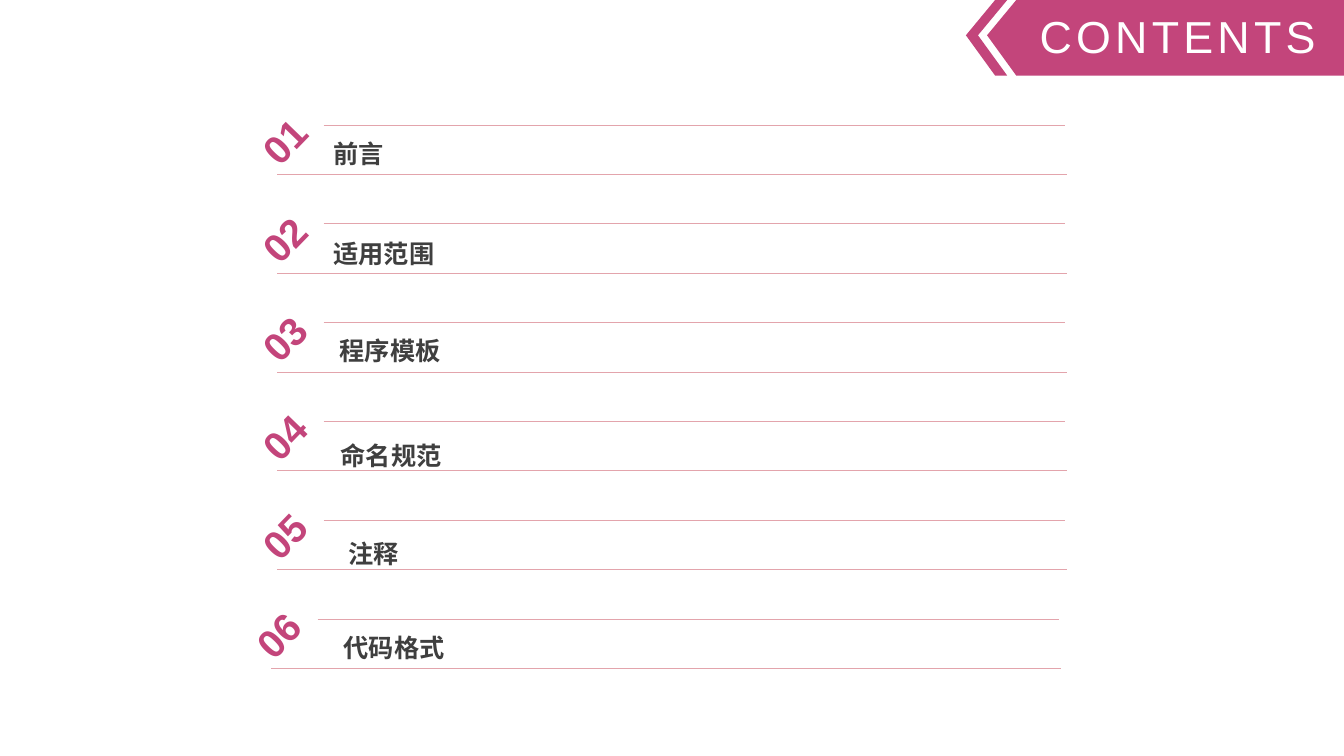
from lxml import etree
from pptx import Presentation, util as u
from pptx.dml.color import RGBColor
from pptx.enum import shapes, text
from pptx.oxml.ns import qn

MAGENTA = RGBColor(0xC3, 0x45, 0x7B)
ROSE = RGBColor(0xE3, 0xA4, 0xAC)
CHARCOAL = RGBColor(0x3F, 0x3F, 0x3F)
WHITE = RGBColor(0xFF, 0xFF, 0xFF)

COLUMNS, ROWS = 13.33, 7.5
FIRST_RULE, PITCH, RULE_GAP = 1.24, 0.98, 0.49
BANNER_HEIGHT, BANNER_TIP = 0.75, 0.35

# heading, left, top, width, height, line spacing, shift of number and rules
ENTRIES = [
    ("前言", 3.21, 1.23, 7.01, 0.49, 1.3, 0),
    ("适用范围", 3.21, 2.23, 7.01, 0.49, 1.3, 0),
    ("程序模板", 3.27, 3.28, 1.22, 0.4, 1, 0),
    ("命名规范", 3.28, 4.23, 1.22, 0.49, 1.3, 0),
    ("注释", 3.36, 5.2, 0.71, 0.49, 1.3, 0),
    ("代码格式", 3.31, 6.22, 1.24, 0.4, 1, -0.06),
]


class ContentsSlide:
    """Draws on a grid whose columns and rows are one inch each."""
    font_name = "Arial"
    cell = u.Inches(1)

    def __init__(self, presentation):
        presentation.slide_width = self.grid(COLUMNS)
        presentation.slide_height = self.grid(ROWS)
        self.slide = presentation.slides.add_slide(presentation.slide_layouts[5])

    def grid(self, cells):
        return u.Emu(round(cells * self.cell))

    def set_text(self, shape, words, size, color, bold, anchor, align, insets, spacing=1):
        frame = shape.text_frame
        frame.text = words
        frame.word_wrap = True
        frame.auto_size = text.MSO_AUTO_SIZE.NONE
        frame.vertical_anchor = anchor
        (frame.margin_left, frame.margin_top,
         frame.margin_right, frame.margin_bottom) = map(self.grid, insets)
        paragraph = frame.paragraphs[0]
        paragraph.alignment = align
        paragraph.line_spacing = spacing
        font = paragraph.font
        font.name, font.size, font.bold = self.font_name, u.Pt(size), bold
        font.color.rgb = color

    def title(self, words, left, top, width, height):
        shape = self.slide.shapes.title
        shape.left, shape.top, shape.width, shape.height = map(
            self.grid, (left, top, width, height))
        self.set_text(shape, words, 32, WHITE, False, text.MSO_ANCHOR.MIDDLE,
                      text.PP_ALIGN.CENTER, (0.24, 0, 0, 0.04))
        run = shape.text_frame.paragraphs[0].runs[0]
        run._r.get_or_add_rPr().set("spc", "300")
        # The title is the first shape; bring it in front of the banner
        self.slide.shapes._spTree.append(shape._element)

    def polygon(self, points):
        start, *others = [(self.grid(x), self.grid(y)) for x, y in points]
        builder = self.slide.shapes.build_freeform(*start)
        builder.add_line_segments(others, close=True)
        shape = builder.convert_to_shape()
        shape.shadow.inherit = False
        shape.fill.solid()
        shape.fill.fore_color.rgb = MAGENTA
        shape.line.fill.background()

    def rule(self, left, right, row):
        line = self.slide.shapes.add_connector(
            shapes.MSO_CONNECTOR.STRAIGHT,
            *map(self.grid, (left, row, right, row)))
        line.line.color.rgb = ROSE
        line.line.width = u.Pt(0.5)
        etree.SubElement(line._element.spPr, qn("a:effectLst"))

    def number(self, words, left, top):
        box = self.slide.shapes.add_textbox(*map(self.grid, (left, top, 0.85, 0.53)))
        box.rotation = 314.1
        self.set_text(box, words, 28, MAGENTA, True, text.MSO_ANCHOR.MIDDLE,
                      text.PP_ALIGN.CENTER, (0, 0, 0, 0))

    def heading(self, words, left, top, width, height, spacing):
        box = self.slide.shapes.add_textbox(
            *map(self.grid, (left, top, width, height)))
        self.set_text(box, words, 18, CHARCOAL, True, text.MSO_ANCHOR.TOP,
                      text.PP_ALIGN.LEFT, (0.1, 0.05, 0.1, 0.05), spacing)


def main():
    presentation = Presentation()
    contents = ContentsSlide(presentation)

    for index, (words, left, top, width, height, spacing, shift) in enumerate(ENTRIES):
        row = FIRST_RULE + index * PITCH
        contents.rule(2.75 + shift, 10.58 + shift, row + RULE_GAP)
        contents.rule(3.21 + shift, 10.56 + shift, row)
        contents.number(f"{index + 1:02}", 2.39 + shift, row - 0.11)
        contents.heading(words, left, top, width, height, spacing)

    contents.polygon([(10.08, 0), (COLUMNS, 0), (COLUMNS, BANNER_HEIGHT),
                      (10.08, BANNER_HEIGHT), (9.79, BANNER_TIP)])
    contents.polygon([(9.87, 0), (9.99, 0), (9.7, BANNER_TIP), (9.99, BANNER_HEIGHT),
                      (9.87, BANNER_HEIGHT), (9.58, BANNER_TIP)])
    contents.title("CONTENTS", 9.79, 0, COLUMNS - 9.79, BANNER_HEIGHT)
    presentation.save("out.pptx")


if __name__ == "__main__":
    main()
